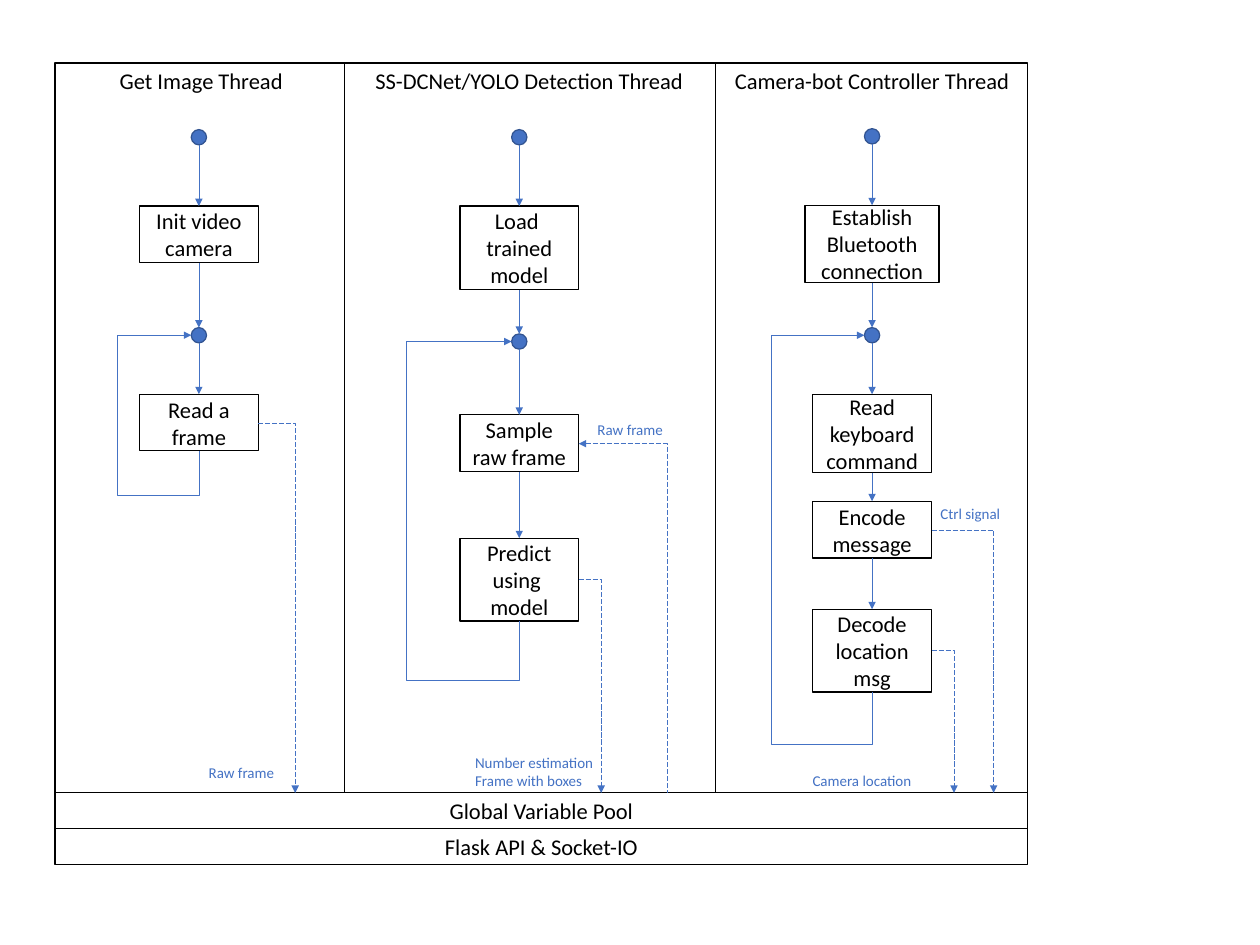
from lxml import etree
from pptx import Presentation
from pptx import util as u
from pptx.dml.color import RGBColor
from pptx.enum import dml, shapes, text
from pptx.oxml.ns import qn

PX = 9144
BLACK = RGBColor(0x00, 0x00, 0x00)
WHITE = RGBColor(0xFF, 0xFF, 0xFF)
BLUE = RGBColor(0x44, 0x72, 0xC4)
NAVY = RGBColor(0x32, 0x54, 0x91)
DOT, STEP = 17, 132

TITLE = {"size": u.Pt(18), "name": "Calibri"}
NOTE = {"size": u.Pt(12), "name": "Calibri"}
MID = {"word_wrap": True, "vertical_anchor": text.MSO_ANCHOR.MIDDLE}
TOP = {"word_wrap": True, "auto_size": text.MSO_AUTO_SIZE.SHAPE_TO_FIT_TEXT}

COLUMNS = [
    {"box": (61, 70, 325, 811), "title": "Get Image Thread", "mid": 160,
     "nodes": [(74, DOT, DOT, ""), (159, STEP, 63, "Init video camera"),
               (294, DOT, DOT, ""), (368, STEP, 63, "Read a frame")],
     "loop": (69, 480),
     "links": [(400, 267, "tail")],
     "notes": [(161, 774, 128, 30, "Raw frame")]},
    {"box": (383, 70, 410, 811), "title": "SS-DCNet/YOLO Detection Thread", "mid": 194,
     "nodes": [(74, DOT, DOT, ""), (159, STEP, 93, "Load \ntrained\nmodel"),
               (301, DOT, DOT, ""), (391, STEP, 63, "Sample raw frame"),
               (528, STEP, 92, "Predict using \nmodel")],
     "loop": (69, 686),
     "links": [(574, 285, "tail"), (423, 358, "head")],
     "notes": [(271, 392, 128, 30, "Raw frame"),
               (135, 762, 198, 50, "Number estimation\nFrame with boxes")]},
    {"box": (795, 70, 348, 811), "title": "Camera-bot Controller Thread", "mid": 174,
     "nodes": [(73, DOT, DOT, ""), (158, 149, 86, "Establish Bluetooth connection"),
               (294, DOT, DOT, ""), (368, STEP, 87, "Read keyboard command"),
               (487, STEP, 63, "Encode\nmessage"), (607, STEP, 92, "Decode location msg")],
     "loop": (62, 757),
     "links": [(653, 265, "tail"), (519, 309, "tail")],
     "notes": [(240, 486, 94, 30, "Ctrl signal"), (98, 782, 173, 30, "Camera location")]},
]


def emu(*vals):
    """Turn px into EMU."""
    return [round(val * PX) for val in vals]


def style(obj, form):
    """Set each value of a format on an object."""
    for key, val in form.items():
        setattr(obj, key, val)


def write(shape, words, font, color, frame, align):
    """Write one paragraph per line of words."""
    body = shape.text_frame
    style(body, frame)
    body.text = words
    for para in body.paragraphs:
        para.alignment = align
        style(para.runs[0].font, font)
        para.runs[0].font.color.rgb = color


def label(tree, box, words, font, color, align):
    """Add a text box."""
    write(tree.add_textbox(*emu(*box)), words, font, color, TOP, align)


def block(tree, kind, box, fill, line, words=""):
    """Add an outlined shape with centred words."""
    shape = tree.add_shape(kind, *emu(*box))
    shape.shadow.inherit = False
    if fill is None:
        shape.fill.background()
    else:
        shape.fill.solid()
        shape.fill.fore_color.rgb = fill
    shape.line.color.rgb = line
    shape.line.width = u.Pt(1)
    if words:
        write(shape, words, TITLE, BLACK, MID, text.PP_ALIGN.CENTER)


def wire(tree, start, stop, color=BLUE, tip=None, bend=None, adjs=(), dash=False):
    """Add a straight or bent connector with an optional arrowhead."""
    kind = shapes.MSO_CONNECTOR.ELBOW if bend else shapes.MSO_CONNECTOR.STRAIGHT
    link = tree.add_connector(kind, *emu(*start, *stop))
    link.line.color.rgb = color
    link.line.width = u.Pt(0.5)
    if dash:
        link.line.dash_style = dml.MSO_LINE.LONG_DASH
    props = link._element.spPr
    if tip:
        etree.SubElement(props.find(qn("a:ln")), qn(f"a:{tip}End"), type="triangle")
    if bend:
        geom = props.find(qn("a:prstGeom"))
        geom.set("prst", bend)
        guides = geom.find(qn("a:avLst"))
        for num, adj in enumerate(adjs, 1):
            etree.SubElement(guides, qn("a:gd"), name=f"adj{num}",
                             fmla=f"val {round(adj * 100000)}")
    etree.SubElement(props, qn("a:effectLst"))


def frame(tree, box):
    """Draw the outer frame, the lane lines and the two bars below."""
    left, top, wide, high = box
    bar = 40
    rect = shapes.MSO_SHAPE.RECTANGLE
    block(tree, rect, box, None, BLACK)
    for num, words in enumerate(["Global Variable Pool", "Flask API & Socket-IO"]):
        block(tree, rect, (left, top + high - bar + num * bar, wide, bar), None, BLACK, words)
    for step in (322, 734):
        wire(tree, (left + step, top), (left + step, top + high - bar), BLACK)


def column(tree, box, title, mid, nodes, loop, links, notes):
    """Draw one thread: title, chain of steps, loop, links and notes."""
    left, top, wide, high = box
    axis = left + mid
    label(tree, (left, top, wide, 40), title, TITLE, BLACK, text.PP_ALIGN.CENTER)
    for y, w, h, words in nodes:
        kind = shapes.MSO_SHAPE.RECTANGLE if words else shapes.MSO_SHAPE.OVAL
        fill, line = (WHITE, BLACK) if words else (BLUE, NAVY)
        block(tree, kind, (axis - w / 2, top + y, w, h), fill, line, words)
    for (y, _, h, _), (stop, *_) in zip(nodes, nodes[1:]):
        wire(tree, (axis, top + y + h), (axis, top + stop), tip="tail")
    joint = nodes[2][0] + DOT / 2
    end = nodes[-1][0] + nodes[-1][2]
    adjs = ((loop[0] - mid) / (DOT / 2) + 1, (loop[1] - joint) / (end - joint))
    wire(tree, (axis - DOT / 2, top + joint), (axis, top + end),
         tip="head", bend="bentConnector4", adjs=adjs)
    for y, x, tip in links:
        wire(tree, (axis + STEP / 2, top + y), (left + x, top + high),
             tip=tip, bend="bentConnector2", dash=True)
    for x, y, w, h, words in notes:
        label(tree, (left + x, top + y, w, h), words, NOTE, BLUE, text.PP_ALIGN.LEFT)


def main():
    """Build the slide and save it."""
    deck = Presentation()
    deck.slide_width, deck.slide_height = emu(1400, 1050)
    tree = deck.slides.add_slide(deck.slide_layouts[6]).shapes
    frame(tree, (61, 70, 1081, 851))
    for lane in COLUMNS:
        column(tree, **lane)
    deck.save("out.pptx")


if __name__ == "__main__":
    main()
